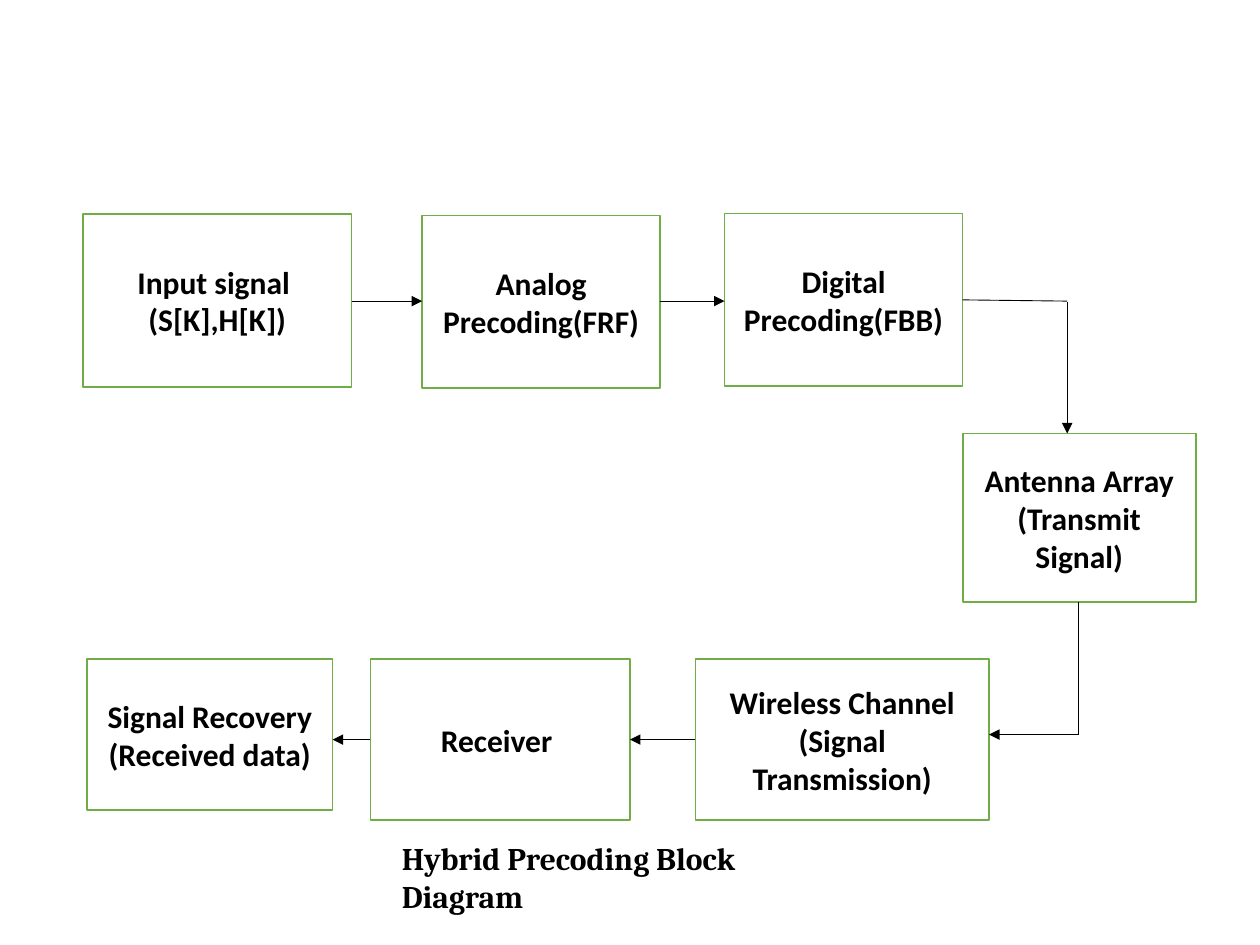
from dataclasses import dataclass

from lxml.etree import SubElement
from pptx import Presentation
from pptx.dml.color import RGBColor
from pptx.enum.shapes import MSO_CONNECTOR as Line, MSO_SHAPE as Shape
from pptx.enum.text import MSO_ANCHOR as Anchor, MSO_AUTO_SIZE as AutoSize, PP_ALIGN as Align
from pptx.oxml.ns import qn
from pptx.util import Inches, Pt


@dataclass(frozen=True)
class Theme:
    ink: RGBColor = RGBColor(0x00, 0x00, 0x00)
    paper: RGBColor = RGBColor(0xFF, 0xFF, 0xFF)
    border: RGBColor = RGBColor(0x70, 0xAD, 0x47)
    block_font: str = "Calibri"
    caption_font: str = "Cambria"
    text_size: Pt = Pt(18)
    border_width: Pt = Pt(1)
    arrow_width: Pt = Pt(0.5)


THEME = Theme()

# The slide is a grid of 100 columns by 75 rows
COLUMNS, ROWS = 100, 75
CELL = Inches(0.1)
TOP_ROW, BOTTOM_ROW = 17, 52.3
TOP_HEIGHT, BOTTOM_HEIGHT = 13.7, 12.8
TOP_FLOW, BOTTOM_FLOW = 23.9, 58.7   # rows along which the signal runs
TURN_DOWN, TURN_BACK = 84.7, 85.6    # columns where it changes direction
RETURN_FLOW = 58.3

# Block text, then left column, top row, width and height
BLOCKS = {
    "input": ("Input signal \n(S[K],H[K])", 6.6, TOP_ROW, 21.3, TOP_HEIGHT),
    "analog": ("Analog Precoding(FRF)", 33.5, TOP_ROW + 0.1, 18.9, TOP_HEIGHT),
    "digital": ("Digital Precoding(FBB)", 57.5, TOP_ROW - 0.05, 18.9, TOP_HEIGHT),
    "antenna": ("Antenna Array\n(Transmit Signal)", 76.4, 34.4, 18.5, 13.4),
    "channel": ("Wireless Channel\n(Signal Transmission)", 55.2, BOTTOM_ROW, 23.3, BOTTOM_HEIGHT),
    "receiver": ("Receiver ", 29.4, BOTTOM_ROW, 20.6, BOTTOM_HEIGHT),
    "recovery": ("Signal Recovery\n(Received data)", 6.9, BOTTOM_ROW, 19.5, 12),
}


def cells(*counts):
    return [round(count * CELL) for count in counts]


def write(frame, text, font_name, align):
    frame.word_wrap = True
    frame.text = text
    for paragraph in frame.paragraphs:
        paragraph.alignment = align
        font = paragraph.font
        font.name, font.size, font.bold = font_name, THEME.text_size, True
        font.color.rgb = THEME.ink


def add_block(slide, text, *place):
    block = slide.shapes.add_shape(Shape.RECTANGLE, *cells(*place))
    block.shadow.inherit = False
    block.fill.solid()
    block.fill.fore_color.rgb = THEME.paper
    block.line.color.rgb = THEME.border
    block.line.width = THEME.border_width
    block.text_frame.vertical_anchor = Anchor.MIDDLE
    write(block.text_frame, text, THEME.block_font, Align.CENTER)


def add_flow(slide, start, end, arrow=True):
    flow = slide.shapes.add_connector(Line.STRAIGHT, *cells(*start, *end))
    flow.line.color.rgb = THEME.ink
    flow.line.width = THEME.arrow_width
    if arrow:
        SubElement(flow.line._get_or_add_ln(), qn("a:tailEnd"), type="triangle")
    SubElement(flow._element.spPr, qn("a:effectLst"))


def add_caption(slide, text, *place):
    caption = slide.shapes.add_textbox(*cells(*place))
    write(caption.text_frame, text, THEME.caption_font, Align.LEFT)
    caption.text_frame.auto_size = AutoSize.SHAPE_TO_FIT_TEXT


def left(name):
    return BLOCKS[name][1]


def right(name):
    return left(name) + BLOCKS[name][3]


def top(name):
    return BLOCKS[name][2]


def bottom(name):
    return top(name) + BLOCKS[name][4]


def main():
    deck = Presentation()
    deck.slide_width, deck.slide_height = cells(COLUMNS, ROWS)
    slide = deck.slides.add_slide(deck.slide_layouts[6])

    for block in BLOCKS.values():
        add_block(slide, *block)

    # Precoding, left to right
    for source, target in (("input", "analog"), ("analog", "digital")):
        add_flow(slide, (right(source), TOP_FLOW), (left(target), TOP_FLOW))

    # Down to the antenna array
    add_flow(slide, (right("digital"), TOP_FLOW - 0.1), (TURN_DOWN, TOP_FLOW), arrow=False)
    add_flow(slide, (TURN_DOWN, TOP_FLOW + 0.1), (TURN_DOWN, top("antenna")))

    # Down and back to the wireless channel
    add_flow(slide, (TURN_BACK, bottom("antenna")), (TURN_BACK, RETURN_FLOW), arrow=False)
    add_flow(slide, (TURN_BACK, RETURN_FLOW), (right("channel"), RETURN_FLOW))

    # Reception, right to left
    for source, target in (("channel", "receiver"), ("receiver", "recovery")):
        add_flow(slide, (left(source), BOTTOM_FLOW), (right(target), BOTTOM_FLOW))

    add_caption(slide, "Hybrid Precoding Block Diagram", 30.9, 66.1, 38.2, 4)
    deck.save("out.pptx")


if __name__ == "__main__":
    main()
